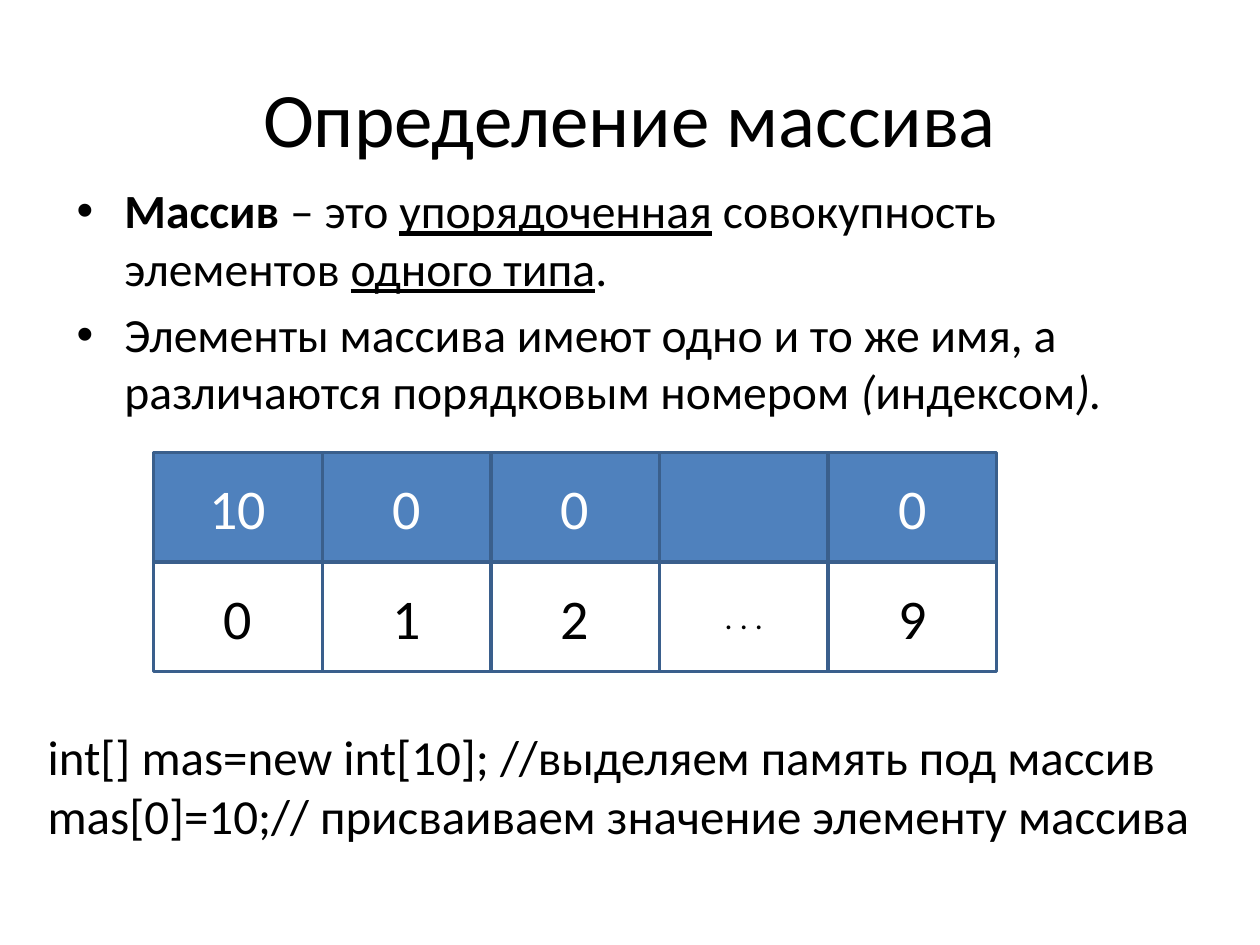
from pptx import Presentation
from pptx.dml.color import RGBColor
from pptx.enum.shapes import MSO_SHAPE
from pptx.enum.text import MSO_ANCHOR, PP_ALIGN
from pptx.oxml.ns import qn
from pptx.util import Inches, Pt
from lxml.etree import SubElement

THEME = {
    "font": "Calibri",
    "black": RGBColor(0, 0, 0),
    "white": RGBColor(255, 255, 255),
    "blue": RGBColor(0x4F, 0x81, 0xBD),
    "edge": RGBColor(0x3A, 0x5F, 0x8C),
    "title": 44, "body": 27.2, "cell": 32, "dots": 18, "code": 28,
}

TITLE = "Определение массива"
BODY = [
    [("Массив", "b"), (" – это ", ""), ("упорядоченная", "u"),
     (" совокупность элементов ", ""), ("одного типа", "u"), (".", "")],
    [("Элементы массива имеют одно и то же имя, а различаются порядковым номером ", ""),
     ("(", "i"), ("индексом", ""), (").", "i")],
]
ROWS = [
    (["10", "0", "0", "", "0"], "blue", "white"),
    (["0", "1", "2", ". . .", "9"], "white", "black"),
]
CODE = [
    "int[] mas=new int[10]; //выделяем память под массив",
    "mas[0]=10;// присваиваем значение элементу массива",
]
LEFT, TOP, WIDTH, HEIGHT = 1.22, 3.59, 1.338, 0.87


def style(para, size, color="black"):
    para.font.name = THEME["font"]
    para.font.size = Pt(THEME[size])
    para.font.color.rgb = THEME[color]


def add_box(slide, *place):
    frame = slide.shapes.add_textbox(*map(Inches, place)).text_frame
    frame.word_wrap = True
    return frame


def next_para(frame, index):
    return frame.add_paragraph() if index else frame.paragraphs[0]


def add_title(slide):
    frame = add_box(slide, 0.5, 0.3, 9, 1.25)
    frame.vertical_anchor = MSO_ANCHOR.MIDDLE
    para = frame.paragraphs[0]
    para.text = TITLE
    para.alignment = PP_ALIGN.CENTER
    style(para, "title")


def add_body(slide):
    frame = add_box(slide, 0.51, 1.39, 9, 1.84)
    for index, parts in enumerate(BODY):
        para = next_para(frame, index)
        props = para._p.get_or_add_pPr()
        props.set("marL", str(Inches(0.38)))
        props.set("indent", str(Inches(-0.38)))
        SubElement(props, qn("a:buFont"), typeface="Arial")
        SubElement(props, qn("a:buChar"), char="•")
        para.space_before = Pt(THEME["body"] * 0.2 if index else 0)
        style(para, "body")
        for text, mark in parts:
            run = para.add_run()
            run.text = text
            if mark == "b":
                run.font.bold = True
            elif mark == "i":
                run.font.italic = True
            elif mark == "u":
                run.font.underline = True


def add_cell(slide, row, col, text, fill, ink):
    place = LEFT + col * WIDTH, TOP + row * HEIGHT, WIDTH, HEIGHT
    cell = slide.shapes.add_shape(MSO_SHAPE.RECTANGLE, *map(Inches, place))
    cell.shadow.inherit = False
    cell.fill.solid()
    cell.fill.fore_color.rgb = THEME[fill]
    cell.line.color.rgb = THEME["edge"]
    cell.line.width = Pt(2)
    if text:
        cell.text_frame.vertical_anchor = MSO_ANCHOR.MIDDLE
        para = cell.text_frame.paragraphs[0]
        para.text = text
        para.alignment = PP_ALIGN.CENTER
        style(para, "dots" if "." in text else "cell", ink)


def add_code(slide):
    frame = add_box(slide, 0.28, 5.72, 9.53, 1.35)
    for index, line in enumerate(CODE):
        para = next_para(frame, index)
        para.text = line
        style(para, "code")


def main():
    deck = Presentation()
    deck.slide_width, deck.slide_height = Inches(10), Inches(7.5)
    slide = deck.slides.add_slide(deck.slide_layouts[6])
    add_title(slide)
    add_body(slide)
    for row, (texts, fill, ink) in enumerate(ROWS):
        for col, text in enumerate(texts):
            add_cell(slide, row, col, text, fill, ink)
    add_code(slide)
    deck.save("out.pptx")


if __name__ == "__main__":
    main()
